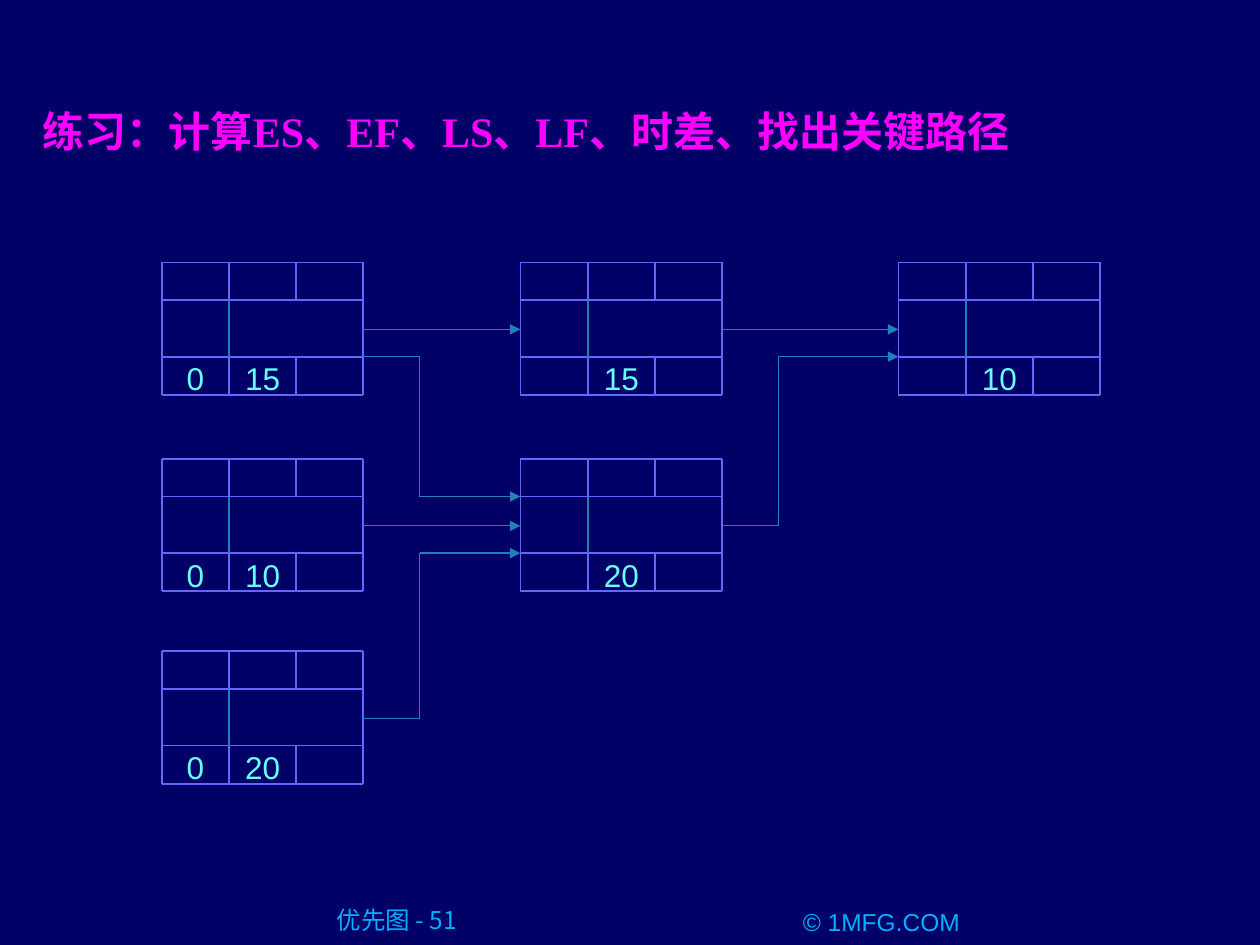
from lxml import etree
from pptx import Presentation
from pptx import util as u
from pptx.dml.color import RGBColor
from pptx.enum import shapes, text
from pptx.oxml import ns

NAVY = RGBColor(0x00, 0x00, 0x66)
PINK = RGBColor(0xFF, 0x00, 0xFF)
SKY = RGBColor(0x01, 0xB0, 0xFF)
AQUA = RGBColor(0x66, 0xFF, 0xFF)
VIOLET = RGBColor(0x66, 0x66, 0xFF)
TEAL = RGBColor(0x21, 0x81, 0xB7)

COLS = (3.26, 10.49, 18.11)
ROWS = (5.29, 9.25, 13.13)
CUTS = (0, 1.36, 2.71, 4.06)
BANDS = (0, 0.76, 1.9, 2.67)
MID = 1.35
BEND = 1.14

NODES = (
    (0, 0, "0", "15"),
    (0, 1, "0", "10"),
    (0, 2, "0", "20"),
    (1, 0, "", "15"),
    (1, 1, "", "20"),
    (2, 0, "", "10"),
)
LINKS = (
    ((0, 0), MID, (1, 0), MID),
    ((1, 0), MID, (2, 0), MID),
    ((0, 1), MID, (1, 1), MID),
    ((0, 0), BANDS[2], (1, 1), BANDS[1]),
    ((0, 2), MID, (1, 1), BANDS[2]),
    ((1, 1), MID, (2, 0), BANDS[2]),
)


def add_line(items, start, end, color, width, arrow=False):
    ends = [u.Cm(n) for n in (*start, *end)]
    line = items.add_connector(shapes.MSO_CONNECTOR.STRAIGHT, *ends)
    line.line.color.rgb = color
    line.line.width = u.Pt(width)
    props = line._element.spPr
    if arrow:
        edge = props.find(ns.qn("a:ln"))
        etree.SubElement(edge, ns.qn("a:tailEnd"), type="triangle")
    etree.SubElement(props, ns.qn("a:effectLst"))


def set_text(shape, words, size, font, color, pads=(0, 0, 0, 0)):
    frame = shape.text_frame
    frame.word_wrap = True
    frame.auto_size = text.MSO_AUTO_SIZE.NONE
    left, top, right, base = pads
    frame.margin_left, frame.margin_top = u.Cm(left), u.Cm(top)
    frame.margin_right, frame.margin_bottom = u.Cm(right), u.Cm(base)
    frame.text = words
    para = frame.paragraphs[0]
    para.alignment = text.PP_ALIGN.CENTER
    para.font.size = u.Pt(size)
    para.font.name = font
    para.font.color.rgb = color
    return frame


def add_text(items, box, *style, **pads):
    shape = items.add_textbox(*(u.Cm(n) for n in box))
    set_text(shape, *style, **pads)


def add_title(slide):
    title = slide.shapes.title
    title.left, title.top = u.Cm(0), u.Cm(1.52)
    title.width, title.height = u.Cm(21.21), u.Cm(2.21)
    frame = set_text(title, "练习：计算ES、EF、LS、LF、时差、找出关键路径", 24,
                     "Times New Roman", PINK, (0.25, 0.13, 0.25, 0.13))
    frame.vertical_anchor = text.MSO_ANCHOR.MIDDLE
    frame.paragraphs[0].font.bold = True


def add_node(slide, col, row, *labels):
    items = slide.shapes.add_group_shape().shapes
    xs = [COLS[col] + cut for cut in CUTS]
    ys = [ROWS[row] + band for band in BANDS]
    for i, label in enumerate(labels):
        if label:
            box = (xs[i], ys[2], xs[i + 1] - xs[i], ys[3] - ys[2])
            add_text(items, box, label, 18, "Arial", AQUA, pads=(0, 0.05, 0, 0))
    for y in ys:
        add_line(items, (xs[0], y), (xs[3], y), VIOLET, 1)
    for x in (xs[0], xs[3]):
        add_line(items, (x, ys[0]), (x, ys[3]), VIOLET, 1)
    for x in xs[1:3]:
        for i in (0, 2):
            add_line(items, (x, ys[i]), (x, ys[i + 1]), VIOLET, 1)
    add_line(items, (xs[1], ys[1]), (xs[1], ys[2]), TEAL, 1)


def add_link(slide, source, leave, target, enter):
    x1, y1 = COLS[source[0]] + CUTS[3], ROWS[source[1]] + leave
    x2, y2 = COLS[target[0]], ROWS[target[1]] + enter
    turn = x1 + BEND
    bends = [] if y1 == y2 else [(turn, y1), (turn, y2)]
    route = [(x1, y1), *bends, (x2, y2)]
    for start, end in zip(route, route[1:]):
        add_line(slide.shapes, start, end, TEAL, 0.75, end == route[-1])


def main():
    deck = Presentation()
    deck.slide_width, deck.slide_height = u.Cm(25.4), u.Cm(19.05)
    slide = deck.slides.add_slide(deck.slide_layouts[5])
    fill = slide.background.fill
    fill.solid()
    fill.fore_color.rgb = NAVY
    add_title(slide)
    for node in NODES:
        add_node(slide, *node)
    for link in LINKS:
        add_link(slide, *link)
    add_text(slide.shapes, (5.11, 18.24, 5.28, 0.69), "优先图 - 51", 14,
             "Noto Sans CJK JP", SKY, pads=(0.51, 0, 0, 0))
    add_text(slide.shapes, (14.91, 18.29, 5.72, 0.58), "© 1MFG.COM", 14,
             "Arial", SKY)
    deck.save("out.pptx")


if __name__ == "__main__":
    main()
